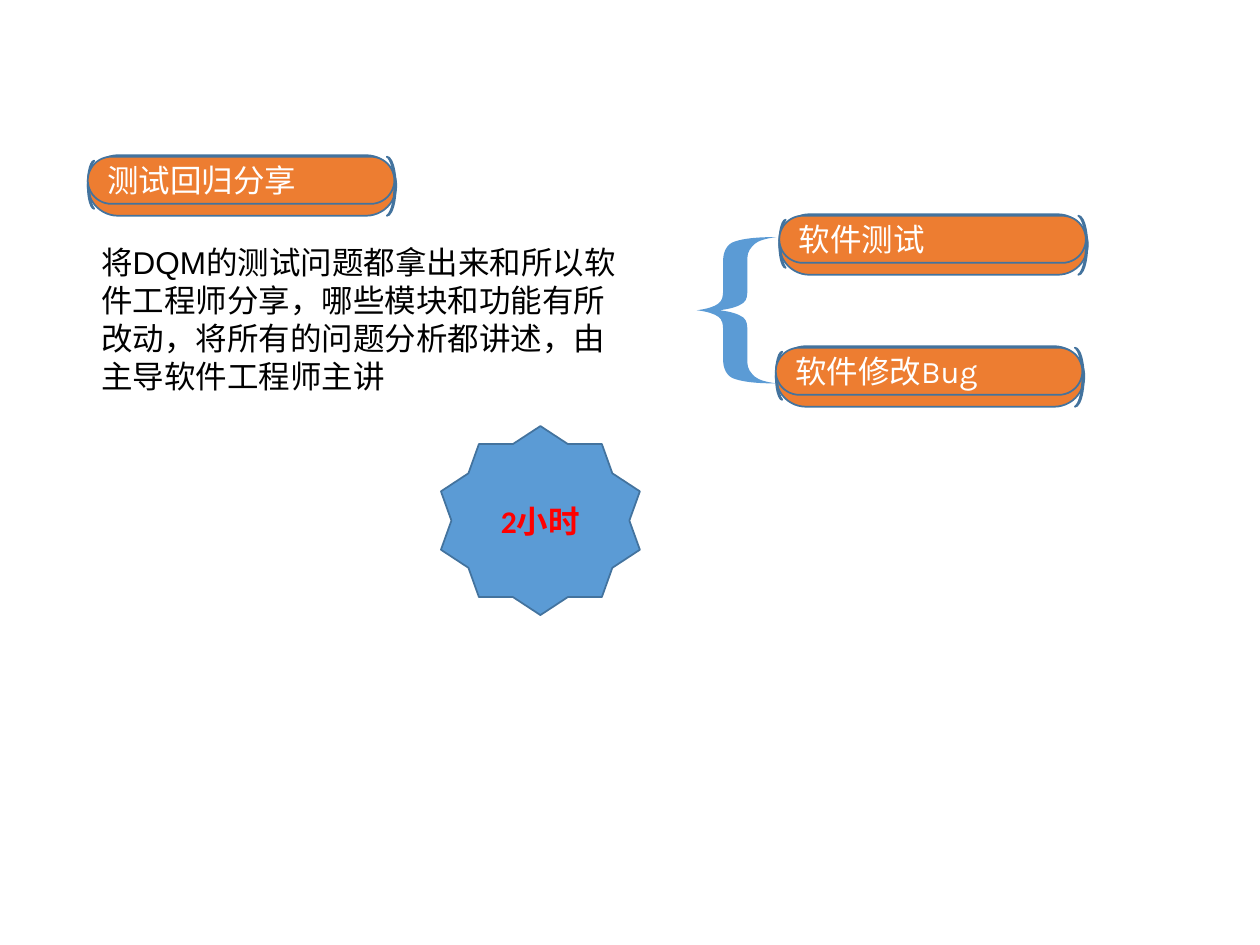
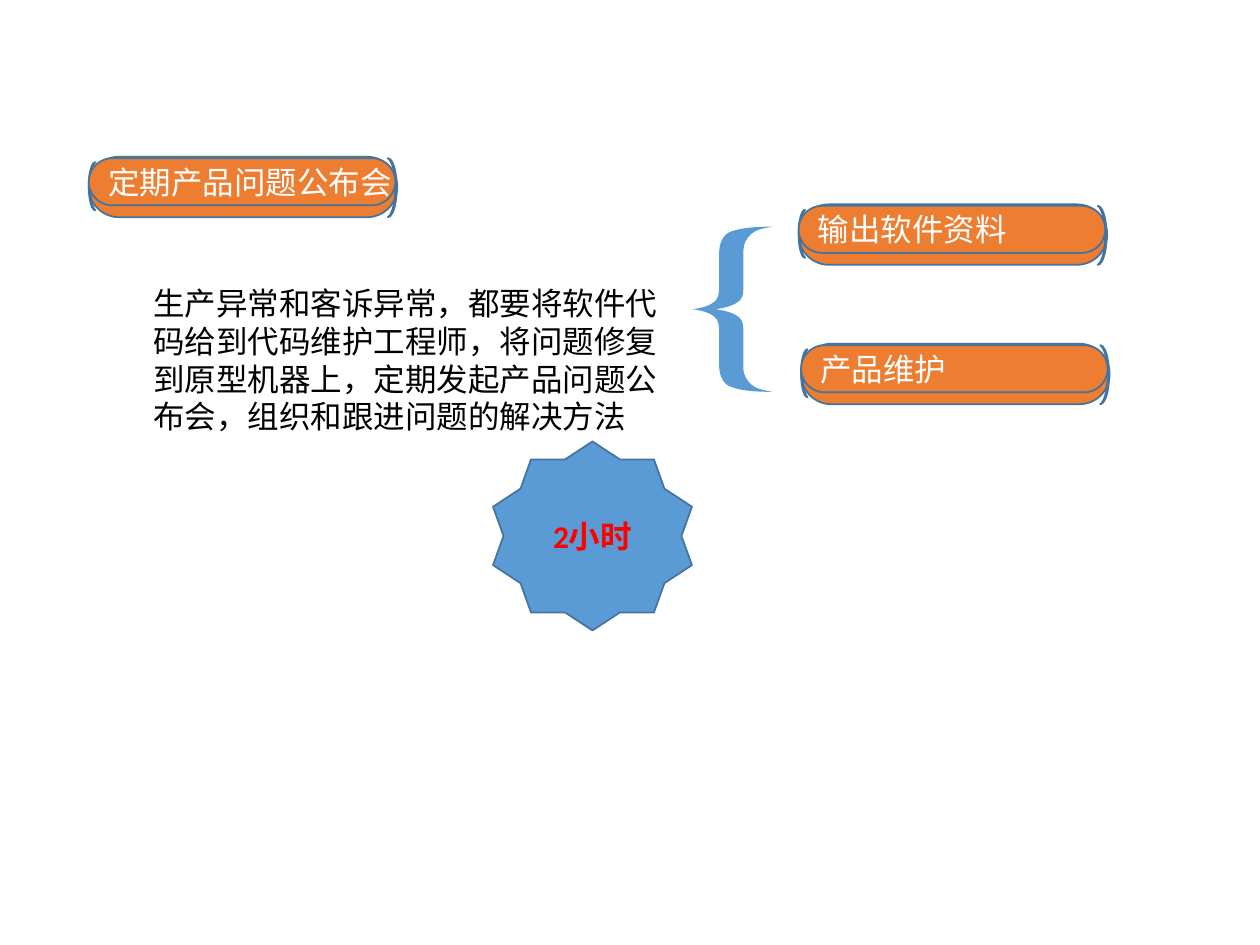
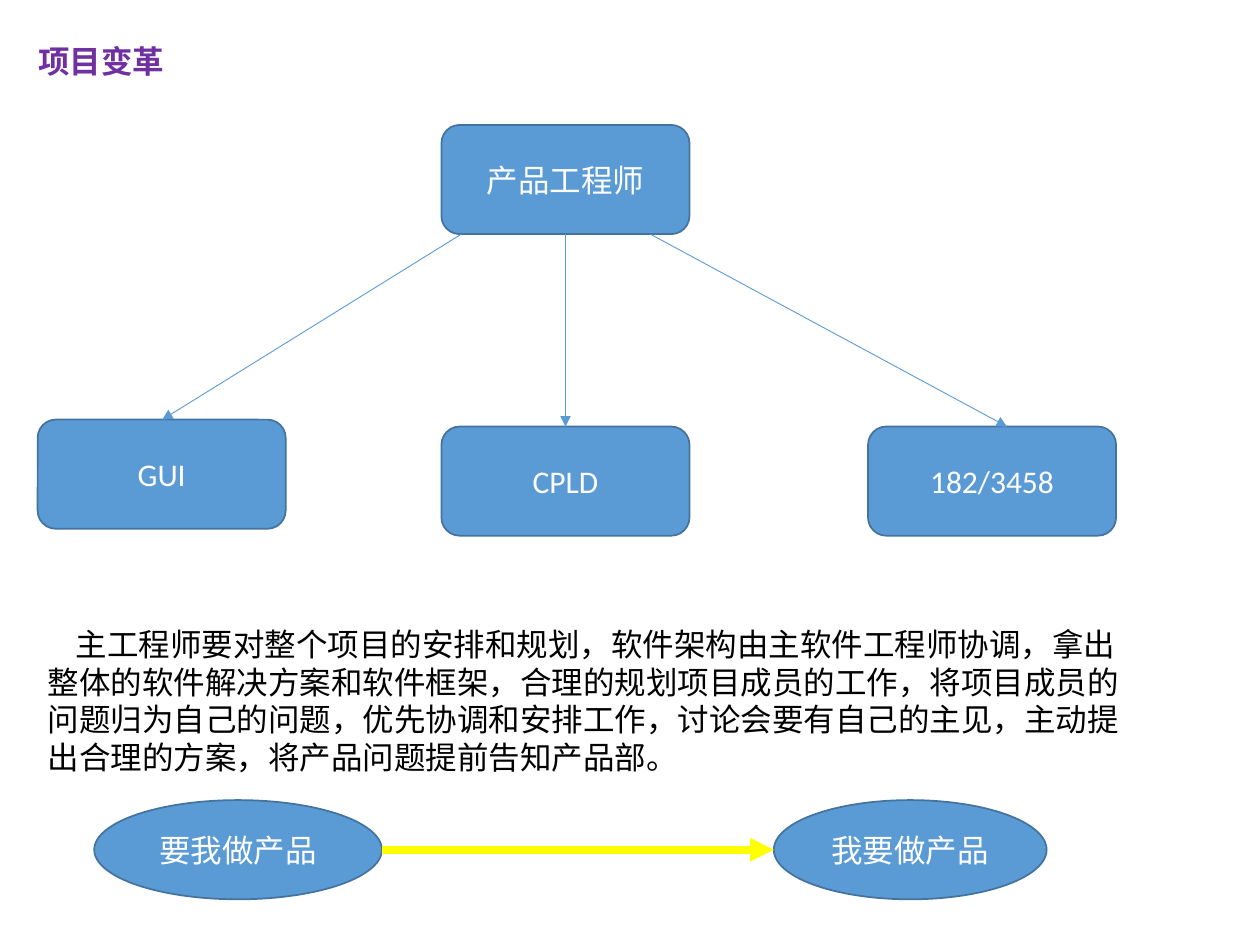
import pptx
import pptx.dml.color
import pptx.enum.shapes
import pptx.enum.text
import pptx.oxml
import pptx.oxml.ns
import pptx.util

Cm = pptx.util.Cm
Pt = pptx.util.Pt
Kind = pptx.enum.shapes.MSO_SHAPE
Align = pptx.enum.text.PP_ALIGN
qn = pptx.oxml.ns.qn


class Theme:
    blue = "5B9BD5"
    outline = "43739E"
    orange = "ED7D31"
    white = "FFFFFF"
    black = "000000"
    red = "FF0000"
    purple = "7030A0"
    yellow = "FFFF00"
    text_size = 18
    line_width = 1
    body_font = "Arial"
    box_font = "Calibri"
    pill_font = "Karla"


color = pptx.dml.color.RGBColor.from_string


def add_box(parent, text, left, top, width, height, kind=None, fill=Theme.blue,
            font=Theme.box_font, ink=Theme.white, bold=False, align=Align.CENTER,
            wrap=True, adjust=None, indent=0):
    """Add a preset shape, or a plain text box when no kind is given."""
    area = [Cm(length) for length in (left, top, width, height)]
    if kind is None:
        box = parent.shapes.add_textbox(*area)
        box.text_frame.auto_size = pptx.enum.text.MSO_AUTO_SIZE.SHAPE_TO_FIT_TEXT
    else:
        box = parent.shapes.add_shape(kind, *area)
        box.shadow.inherit = False
        box.fill.solid()
        box.fill.fore_color.rgb = color(fill)
        box.line.color.rgb = color(Theme.outline)
        box.line.width = Pt(Theme.line_width)
        box.text_frame.vertical_anchor = pptx.enum.text.MSO_ANCHOR.MIDDLE
        if adjust is not None:
            box.adjustments[0] = adjust
    if text:
        box.text_frame.word_wrap = wrap
        para = box.text_frame.paragraphs[0]
        para.alignment = align
        if indent:
            para._p.get_or_add_pPr().set("indent", str(Cm(indent)))
        span = para.add_run()
        span.text = text
        span.font.name = font
        span.font.size = Pt(Theme.text_size)
        span.font.bold = bold
        span.font.color.rgb = color(ink)
    return box


def add_arrow(page, start, end, ink=Theme.blue, width=0.5):
    arrow = page.shapes.add_connector(
        pptx.enum.shapes.MSO_CONNECTOR.STRAIGHT,
        *[Cm(length) for length in (*start, *end)])
    arrow.line.color.rgb = color(ink)
    arrow.line.width = Pt(width)
    tail = pptx.oxml.parse_xml(
        '<a:tailEnd xmlns:a="http://schemas.openxmlformats.org/drawingml/2006/main"'
        ' type="triangle"/>')
    arrow.line._get_or_add_ln().append(tail)
    properties = arrow._element.spPr
    properties.append(properties.makeelement(qn("a:effectLst"), {}))


deck = pptx.Presentation()
deck.slide_width = Cm(25.4)
deck.slide_height = Cm(19.05)
blank = deck.slide_layouts[6]

# Upper half of the brace in unit coordinates: a start point, then three
# points for each Bezier curve; the lower half mirrors it
upper = [
    (0.285, 0.5),
    (0.43, 0.49), (0.52, 0.475), (0.585, 0.45),
    (0.635, 0.425), (0.635, 0.40), (0.635, 0.35),
    (0.635, 0.30), (0.635, 0.20), (0.635, 0.145),
    (0.635, 0.10), (0.68, 0.07), (0.73, 0.046),
    (0.78, 0.023), (0.87, 0.01), (1, 0),
    (0.75, 0), (0.59, 0.01), (0.48, 0.03),
    (0.38, 0.045), (0.33, 0.10), (0.33, 0.16),
    (0.33, 0.20), (0.33, 0.30), (0.33, 0.365),
    (0.33, 0.405), (0.32, 0.435), (0.27, 0.455),
    (0.22, 0.475), (0.14, 0.49), (0, 0.5),
]
brace_points = upper + [(x, 1 - y) for x, y in reversed(upper[:-1])]

# Layers of a pill: kind, offset x, offset y, width, height, adjustment
pill_layers = [
    (Kind.ROUNDED_RECTANGLE, 0, 0, 6.22, 1.22, 0.5),
    (Kind.MOON, 6.03, 0.03, 0.18, 1.19, 0.163),
    (Kind.MOON, 0, 0.11, 0.13, 0.97, 0.22),
    (Kind.ROUNDED_RECTANGLE, 0, 0.03, 6.18, 0.95, 0.5),
]

# Slides 1 and 2: a topic, its explanation, two branches and the duration
topics = [
    dict(pills=[("软件测试", 15.71, 4.32), ("软件修改Bug", 15.64, 6.98),
                ("测试回归分享", 1.77, 3.13)],
         brace=(14.05, 4.78, 1.6, 2.95), star=(8.89, 8.59), body=(1.79, 4.78),
         text="将DQM的测试问题都拿出来和所以软件工程师分享，哪些模块和功能有所改动，"
              "将所有的问题分析都讲述，由主导软件工程师主讲"),
    dict(pills=[("输出软件资料", 16.1, 4.12), ("产品维护", 16.15, 6.93),
                ("定期产品问题公布会", 1.79, 3.16)],
         brace=(13.97, 4.57, 1.6, 3.33), star=(9.94, 8.9), body=(2.84, 5.6),
         text="生产异常和客诉异常，都要将软件代码给到代码维护工程师，将问题修复到原型机器上，"
              "定期发起产品问题公布会，组织和跟进问题的解决方法"),
]
for topic in topics:
    page = deck.slides.add_slide(blank)

    # Pills, each one a group of layers with the label on the front face
    for label, left, top in topic["pills"]:
        pill = page.shapes.add_group_shape()
        for number, (kind, across, down, width, height, adjust) in enumerate(pill_layers):
            layer = add_box(pill, label if number == 3 else "", left + across, top + down,
                            width, height, kind=kind, fill=Theme.orange,
                            font=Theme.pill_font, align=Align.LEFT, wrap=False,
                            adjust=adjust)
            if number == 1:
                layer._element.spPr.find(qn("a:xfrm")).set("flipH", "1")

    # Brace: every three straight segments become one curve
    left, top, width, height = topic["brace"]
    points = [(Cm(left + x * width), Cm(top + y * height)) for x, y in brace_points]
    builder = page.shapes.build_freeform(*points[0])
    builder.add_line_segments(points[1:], close=True)
    brace = builder.convert_to_shape()
    segments = list(brace._element.iter(qn("a:lnTo")))
    for first in range(0, len(segments) - 2, 3):
        curve = segments[first].makeelement(qn("a:cubicBezTo"), {})
        segments[first].addprevious(curve)
        for segment in segments[first:first + 3]:
            curve.append(segment[0])
            segment.getparent().remove(segment)
    brace.shadow.inherit = False
    brace.fill.solid()
    brace.fill.fore_color.rgb = color(Theme.blue)
    brace.line.fill.background()

    # Duration and explanation
    add_box(page, "2小时", *topic["star"], 4.01, 3.81, kind=Kind.STAR_10_POINT,
            ink=Theme.red, bold=True)
    add_box(page, topic["text"], *topic["body"], 11.12, 3.3, font=Theme.body_font,
            ink=Theme.black, align=Align.LEFT)

# Slide 3: project change
page = deck.slides.add_slide(blank)
add_box(page, "项目变革", 0.52, 0.72, 3.1, 1.02, font=Theme.body_font,
        ink=Theme.purple, bold=True, align=Align.LEFT, wrap=False)

# Roles: label, left, top, start and end of the arrow
box_width, box_height = 5, 2.2
lead_left, lead_top = 8.9, 2.52
add_box(page, "产品工程师", lead_left, lead_top, box_width, box_height,
        kind=Kind.ROUNDED_RECTANGLE)
roles = [("GUI", 0.76, 8.46, 9.3, 3.27), ("CPLD", 8.9, 8.6, 11.4, 11.4),
         ("182/3458", 17.5, 8.6, 13.11, 20.3)]
for label, left, top, start, end in roles:
    add_box(page, label, left, top, box_width, box_height, kind=Kind.ROUNDED_RECTANGLE)
    add_arrow(page, (start, lead_top + box_height), (end, top))

# Explanation
add_box(page, "主工程师要对整个项目的安排和规划，软件架构由主软件工程师协调，"
              "拿出整体的软件解决方案和软件框架，合理的规划项目成员的工作，"
              "将项目成员的问题归为自己的问题，优先协调和安排工作，"
              "讨论会要有自己的主见，主动提出合理的方案，将产品问题提前告知产品部。",
        0.71, 12.47, 22.39, 3.33, font=Theme.body_font, ink=Theme.black,
        align=Align.LEFT, indent=0.57)

# Change of attitude
for label, left, width in [("要我做产品", 1.9, 5.8), ("我要做产品", 15.6, 5.5)]:
    add_box(page, label, left, 16.13, width, 2, kind=Kind.OVAL)
add_arrow(page, (7.7, 17.13), (15.6, 17.13), ink=Theme.yellow, width=4.5)

deck.save("out.pptx")
